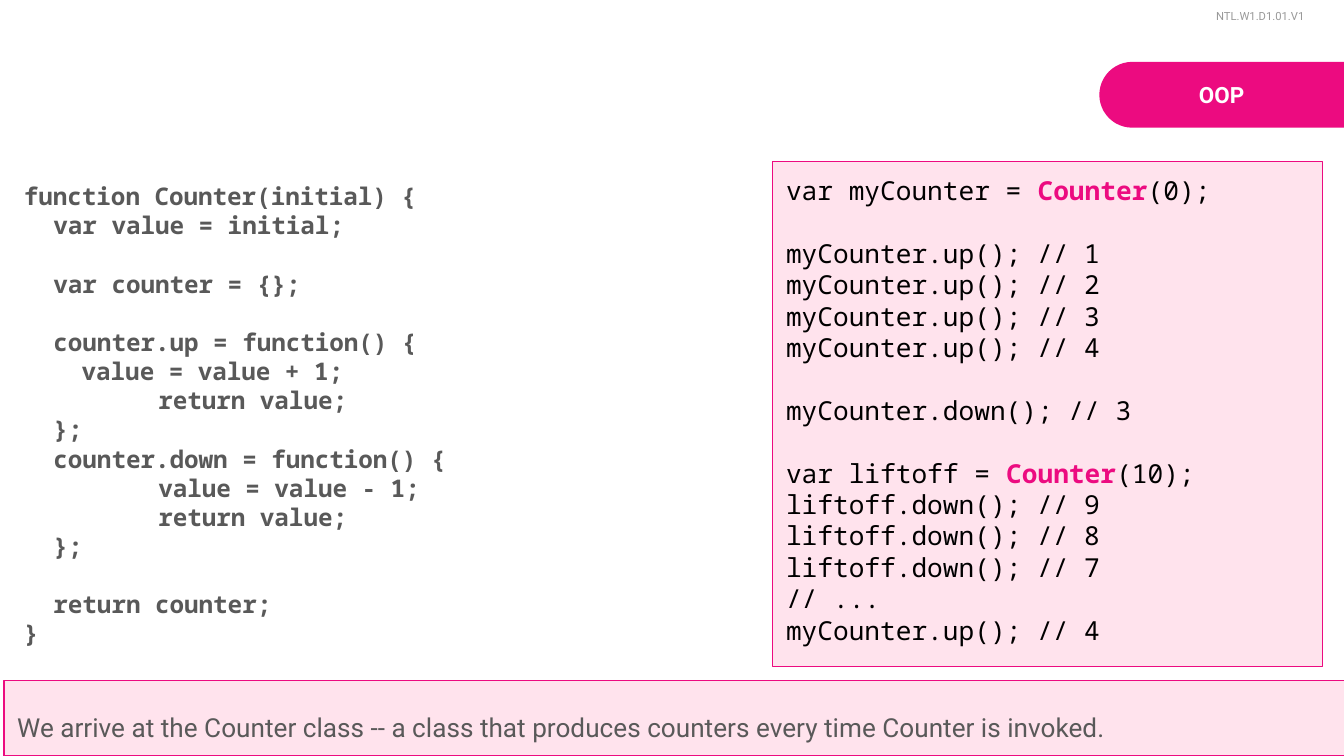
import dataclasses

import lxml.etree
import pptx
import pptx.dml.color
import pptx.enum.shapes
import pptx.enum.text
import pptx.oxml.ns
import pptx.util

Inches = pptx.util.Inches
Pt = pptx.util.Pt
Align = pptx.enum.text.PP_ALIGN
Anchor = pptx.enum.text.MSO_ANCHOR
AutoSize = pptx.enum.text.MSO_AUTO_SIZE
Shape = pptx.enum.shapes.MSO_SHAPE


@dataclasses.dataclass(frozen=True)
class Theme:
    accent: str = "EC0B80"
    tint: str = "FF7CAD"
    tint_opacity: int = 21
    white: str = "FFFFFF"
    black: str = "000000"
    body: str = "595959"
    muted: str = "999999"
    sans: str = "Roboto"
    mono: str = "Noto Sans Mono"
    tag_size: int = 6
    title_size: int = 12
    definition_size: int = 13
    text_size: int = 14
    line_height: float = 1.2
    inset: float = 0.1
    border: float = 0.75


@dataclasses.dataclass(frozen=True)
class Box:
    left: float
    top: float
    width: float
    height: float

    def lengths(self):
        return [Inches(side) for side in dataclasses.astuple(self)]


THEME = Theme()
SLIDE_WIDTH = 10
SLIDE_HEIGHT = SLIDE_WIDTH * 9 / 16
INDENTS = (0, 0.22, 0.43, 1)

DEFINITION = [
    [(0, "function Counter(initial) {"), (1, "var value = initial;")],
    [(1, "var counter = {};")],
    [
        (1, "counter.up = function() {"),
        (2, "value = value + 1;"),
        (3, "return value;"),
        (1, "};"),
        (1, "counter.down = function() {"),
        (3, "value = value - 1;"),
        (3, "return value;"),
        (1, "};"),
    ],
    [(1, "return counter;"), (0, "}")],
]

USAGE = [
    [(0, "var myCounter = |Counter|(0);")],
    [(0, f"myCounter.up(); // {count}") for count in range(1, 5)],
    [(0, "myCounter.down(); // 3")],
    [(0, "var liftoff = |Counter|(10);")]
    + [(0, f"liftoff.down(); // {count}") for count in (9, 8, 7)]
    + [(0, "// ..."), (0, "myCounter.up(); // 4")],
]


def rgb(color):
    return pptx.dml.color.RGBColor.from_string(color)


def style(paragraph, face, size, color, bold=False, align=Align.LEFT):
    paragraph.alignment = align
    paragraph.font.name = face
    paragraph.font.size = Pt(size)
    paragraph.font.bold = bold
    paragraph.font.color.rgb = rgb(color)


def prepare_frame(shape, anchor=Anchor.TOP, auto_size=AutoSize.NONE):
    frame = shape.text_frame
    frame.word_wrap = True
    frame.auto_size = auto_size
    frame.vertical_anchor = anchor
    frame.margin_left = frame.margin_right = Inches(THEME.inset)
    frame.margin_top = frame.margin_bottom = Inches(THEME.inset)
    return frame


def add_tinted_panel(slide, box):
    panel = slide.shapes.add_shape(Shape.RECTANGLE, *box.lengths())
    panel.shadow.inherit = False
    panel.fill.solid()
    panel.fill.fore_color.rgb = rgb(THEME.tint)
    tint = panel._element.spPr.find(".//" + pptx.oxml.ns.qn("a:srgbClr"))
    lxml.etree.SubElement(
        tint, pptx.oxml.ns.qn("a:alpha"), val=str(THEME.tint_opacity * 1000)
    )
    panel.line.color.rgb = rgb(THEME.accent)
    panel.line.width = Pt(THEME.border)
    return panel


def write_code(frame, blocks, size, color, bold=False):
    paragraph = None
    for block in blocks:
        for position, (level, code) in enumerate(block):
            follows_gap = paragraph is not None and position == 0
            paragraph = frame.paragraphs[0] if paragraph is None else frame.add_paragraph()
            style(paragraph, THEME.mono, size, color, bold)
            if follows_gap:
                paragraph.space_before = Pt(size * THEME.line_height)
            if level:
                paragraph._p.get_or_add_pPr().set("marL", str(Inches(INDENTS[level])))
            for index, part in enumerate(code.split("|")):
                run = paragraph.add_run()
                run.text = part
                if index % 2:
                    run.font.bold = True
                    run.font.color.rgb = rgb(THEME.accent)


def add_title_tab(slide, box):
    turned = Box(
        box.left + (box.width - box.height) / 2,
        box.top + (box.height - box.width) / 2,
        box.height,
        box.width,
    )
    tab = slide.shapes.add_shape(Shape.ROUND_2_SAME_RECTANGLE, *turned.lengths())
    tab.rotation = 270
    tab.adjustments[0] = 0.5
    tab.adjustments[1] = 0
    tab.shadow.inherit = False
    tab.fill.solid()
    tab.fill.fore_color.rgb = rgb(THEME.accent)
    tab.line.fill.background()

    title = slide.shapes.title
    title_box = Box(box.left + 0.05, box.top + 0.04, 1.72, 0.4)
    title.left, title.top, title.width, title.height = title_box.lengths()
    tab._element.addnext(title._element)
    frame = prepare_frame(title, auto_size=AutoSize.SHAPE_TO_FIT_TEXT)
    frame.text = "OOP"
    style(frame.paragraphs[0], THEME.sans, THEME.title_size, THEME.white, True, Align.CENTER)


def add_version_tag(slide, box):
    tag = slide.shapes.add_textbox(*box.lengths())
    frame = prepare_frame(tag, auto_size=AutoSize.SHAPE_TO_FIT_TEXT)
    frame.text = "NTL.W1.D1.01.V1"
    style(frame.paragraphs[0], THEME.sans, THEME.tag_size, THEME.muted)
    frame.paragraphs[0].line_spacing = 1.15


def add_definition(slide, box):
    frame = prepare_frame(slide.shapes.add_textbox(*box.lengths()))
    write_code(frame, DEFINITION, THEME.definition_size, THEME.body, True)


def add_summary(slide, box):
    frame = prepare_frame(add_tinted_panel(slide, box), Anchor.BOTTOM)
    frame.text = (
        "We arrive at the Counter class -- a class that produces counters "
        "every time Counter is invoked."
    )
    style(frame.paragraphs[0], THEME.sans, THEME.text_size, THEME.body)


def add_usage(slide, box):
    frame = prepare_frame(add_tinted_panel(slide, box))
    write_code(frame, USAGE, THEME.text_size, THEME.black)


def main():
    deck = pptx.Presentation()
    deck.slide_width, deck.slide_height = Inches(SLIDE_WIDTH), Inches(SLIDE_HEIGHT)
    slide = deck.slides.add_slide(deck.slide_layouts.get_by_name("Title Only"))
    add_title_tab(slide, Box(8.18, 0.46, 1.83, 0.49))
    add_version_tag(slide, Box(8.95, 0, 0.97, 0.3))
    add_definition(slide, Box(0.08, 1.25, 4.83, 4.45))
    add_summary(slide, Box(0.03, SLIDE_HEIGHT - 0.56, SLIDE_WIDTH, 0.56))
    add_usage(slide, Box(5.75, 1.2, 4.09, 3.76))
    deck.save("out.pptx")


if __name__ == "__main__":
    main()
